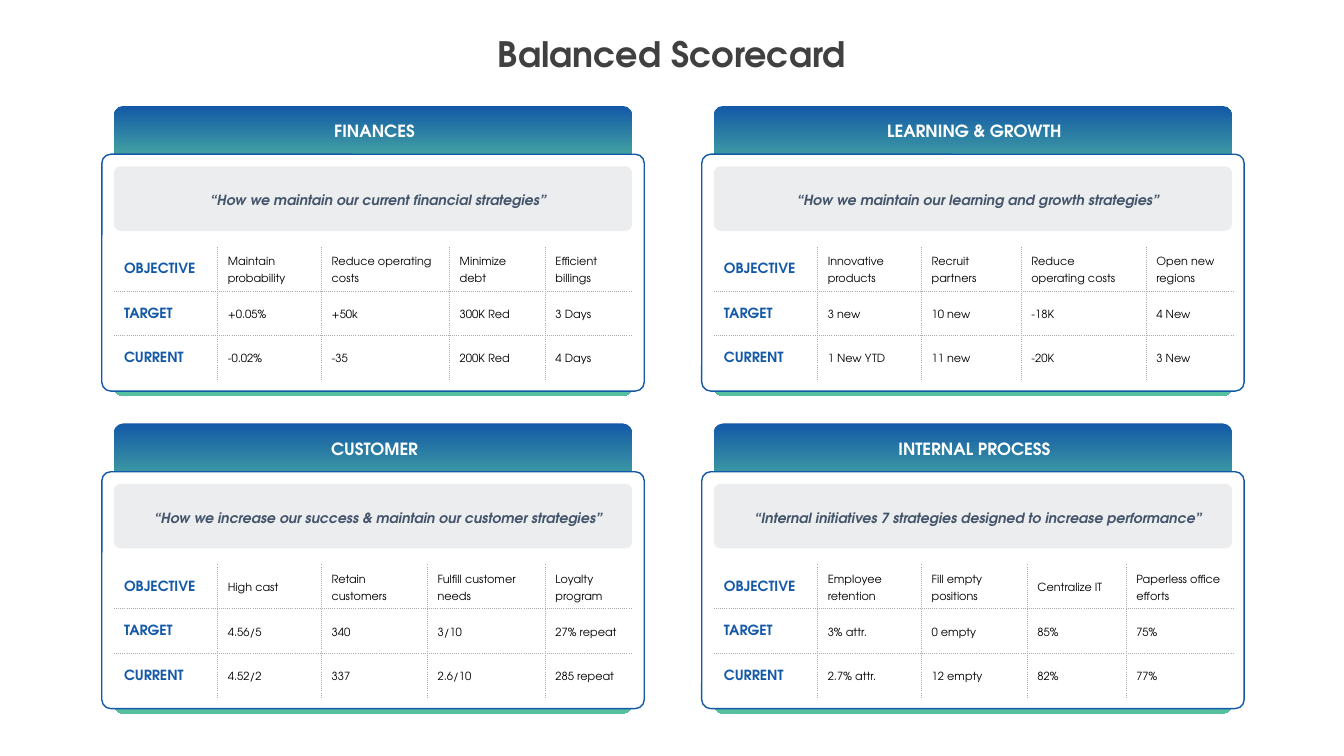
from lxml.etree import SubElement
from pptx import Presentation
from pptx.dml.color import RGBColor
from pptx.enum.shapes import MSO_SHAPE
from pptx.enum.text import MSO_ANCHOR, PP_ALIGN
from pptx.oxml.ns import qn
from pptx.util import Inches, Pt

FONT = "TeX Gyre Adventor"
COLORS = {
    "blue": "1359A7", "green": "56C09F", "slate": "44546A", "title": "404040",
    "white": "FFFFFF", "black": "000000", "rule": "AFABAB",
}
PLAIN_TABLE = "{2D5ABB26-0587-4C30-8999-92F81FD0307C}"

# Grid of cards, in inches
SLIDE_W, SLIDE_H = 13.33, 7.5
LEFT, TOP = 1.13, 1.05
STEP_X, STEP_Y = 5.95, 3.15
CARD_W, CARD_H = 5.14, 2.88
ROW_H = 0.44
MARGIN = 0.12

LABELS = ["OBJECTIVE", "TARGET", "CURRENT"]

# Heading, question, gradient end, column widths, values per row
CARDS = [
    ("FINANCES", "“How we maintain our current financial strategies”",
     0.24, [1.03, 1.03, 1.27, 0.95, 0.86],
     [["Maintain probability", "Reduce operating costs", "Minimize debt", "Efficient billings"],
      ["+0.05%", "+50k", "300K Red", "3 Days"],
      ["-0.02%", "-35", "200K Red", "4 Days"]]),
    ("LEARNING & GROWTH", "“How we maintain our learning and growth strategies”",
     0.27, [1.03, 1.03, 0.99, 1.24, 0.86],
     [["Innovative products", "Recruit partners", "Reduce\noperating costs", "Open new regions"],
      ["3 new", "10 new", "-18K", "4 New"],
      ["1 New YTD", "11 new", "-20K", "3 New"]]),
    ("CUSTOMER", "“How we increase our success & maintain our customer strategies”",
     0.28, [1.03, 1.03, 1.05, 1.17, 0.86],
     [["High cast", "Retain\ncustomers", "Fulfill customer needs", "Loyalty program"],
      ["4.56/5", "340", "3/10", "27% repeat"],
      ["4.52/2", "337", "2.6/10", "285 repeat"]]),
    ("INTERNAL PROCESS", "“Internal initiatives 7 strategies designed to increase performance”",
     0.28, [1.03, 1.03, 1.05, 0.98, 1.06],
     [["Employee retention", "Fill empty positions", "Centralize IT", "Paperless office efforts"],
      ["3% attr.", "0 empty", "85%", "75%"],
      ["2.7% attr.", "12 empty", "82%", "77%"]]),
]


def rgb(name):
    return RGBColor.from_string(COLORS[name])


def write(frame, text, size, color, bold=False, italic=False, align=PP_ALIGN.LEFT, spacing=None):
    para = frame.paragraphs[0]
    para.alignment = align
    if spacing:
        para.line_spacing = Pt(spacing)
    for index, line in enumerate(text.split("\n")):
        if index:
            para.add_line_break()
        span = para.add_run()
        span.text = line
        span.font.name = FONT
        span.font.size = Pt(size)
        span.font.bold = bold
        span.font.italic = italic
        span.font.color.rgb = rgb(color)


def set_margins(target, left, top, right, bottom):
    target.margin_left, target.margin_top = Inches(left), Inches(top)
    target.margin_right, target.margin_bottom = Inches(right), Inches(bottom)


def add_text(page, text, x, y, w, h, size, color, wrap=True, spacing=None):
    box = page.shapes.add_textbox(Inches(x), Inches(y), Inches(w), Inches(h))
    box.text_frame.word_wrap = wrap
    write(box.text_frame, text, size, color, bold=True, align=PP_ALIGN.CENTER, spacing=spacing)


def add_round(page, x, y, w, h, corner):
    shape = page.shapes.add_shape(
        MSO_SHAPE.ROUNDED_RECTANGLE, Inches(x), Inches(y), Inches(w), Inches(h))
    shape.adjustments[0] = corner
    shape.shadow.inherit = False
    shape.line.fill.background()
    return shape


def add_backing(page, x, y, gradient_end):
    backing = add_round(page, x, y, CARD_W, CARD_H, 0.033)
    backing.fill.gradient()
    backing.fill.gradient_angle = 270
    stops = backing.fill.gradient_stops
    for stop, color, position in zip(stops, ("blue", "green"), (0, gradient_end)):
        stop.color.rgb = rgb(color)
        stop.position = position


def add_panel(page, x, y):
    panel = add_round(page, x - MARGIN, y, CARD_W + 2 * MARGIN, 2.35, 0.038)
    panel.fill.solid()
    panel.fill.fore_color.rgb = rgb("white")
    panel.line.color.rgb = rgb("blue")
    panel.line.width = Pt(1)


def add_question(page, text, x, y):
    band = add_round(page, x, y, CARD_W, 0.64, 0.104)
    band.fill.solid()
    band.fill.fore_color.rgb = rgb("slate")
    tint = next(band.element.spPr.iter(qn("a:srgbClr")))
    SubElement(tint, qn("a:alpha"), val="10000")
    frame = band.text_frame
    frame.word_wrap = True
    frame.vertical_anchor = MSO_ANCHOR.MIDDLE
    set_margins(frame, 0.2, 0.05, 0.1, 0.05)
    write(frame, text, 10, "slate", bold=True, italic=True, align=PP_ALIGN.CENTER, spacing=14)


def add_border(cell, side, visible):
    props = cell._tc.get_or_add_tcPr()
    line = SubElement(props, qn("a:ln" + side), w=str(Pt(0.5)))
    if visible:
        fill = SubElement(line, qn("a:solidFill"))
        SubElement(fill, qn("a:srgbClr"), val=COLORS["rule"])
        SubElement(line, qn("a:prstDash"), val="sysDot")
    else:
        SubElement(line, qn("a:noFill"))


def add_measures(page, x, y, widths, values):
    rows, columns = len(LABELS), len(widths)
    frame = page.shapes.add_table(
        rows, columns, Inches(x), Inches(y), Inches(CARD_W), Inches(rows * ROW_H))
    table = frame.table
    table.first_row = table.horz_banding = False
    next(frame._element.iter(qn("a:tableStyleId"))).text = PLAIN_TABLE
    for column, width in zip(table.columns, widths):
        column.width = Inches(width)
    for r, (label, row_values) in enumerate(zip(LABELS, values)):
        table.rows[r].height = Inches(ROW_H)
        for c, text in enumerate([label] + row_values):
            cell = table.cell(r, c)
            cell.vertical_anchor = MSO_ANCHOR.MIDDLE
            set_margins(cell, 0.1, 0.03, 0.1, 0.05)
            # Dotted rules run only between cells
            inner = {"L": c > 0, "R": c < columns - 1, "T": r > 0, "B": r < rows - 1}
            for side, visible in inner.items():
                add_border(cell, side, visible)
            cell.fill.background()
            size, color = (8, "black") if c else (10, "blue")
            write(cell.text_frame, text, size, color, bold=c == 0, spacing=12)


def add_card(page, index, heading, question, gradient_end, widths, values):
    row, column = divmod(index, 2)
    x, y = LEFT + column * STEP_X, TOP + row * STEP_Y
    add_backing(page, x, y, gradient_end)
    add_text(page, heading, x + 0.65, y + 0.08, 3.87, 0.31, 12, "white", spacing=16)
    add_panel(page, x, y + 0.48)
    add_question(page, question, x, y + 0.6)
    add_measures(page, x, y + 1.4, widths, values)


def main():
    deck = Presentation()
    deck.slide_width, deck.slide_height = Inches(SLIDE_W), Inches(SLIDE_H)
    page = deck.slides.add_slide(deck.slide_layouts[6])
    # Title
    add_text(page, "Balanced Scorecard", 4.81, 0.27, 3.71, 0.52, 25, "title", wrap=False)
    # Four cards, two by two
    for index, card in enumerate(CARDS):
        add_card(page, index, *card)
    deck.save("out.pptx")


if __name__ == "__main__":
    main()
